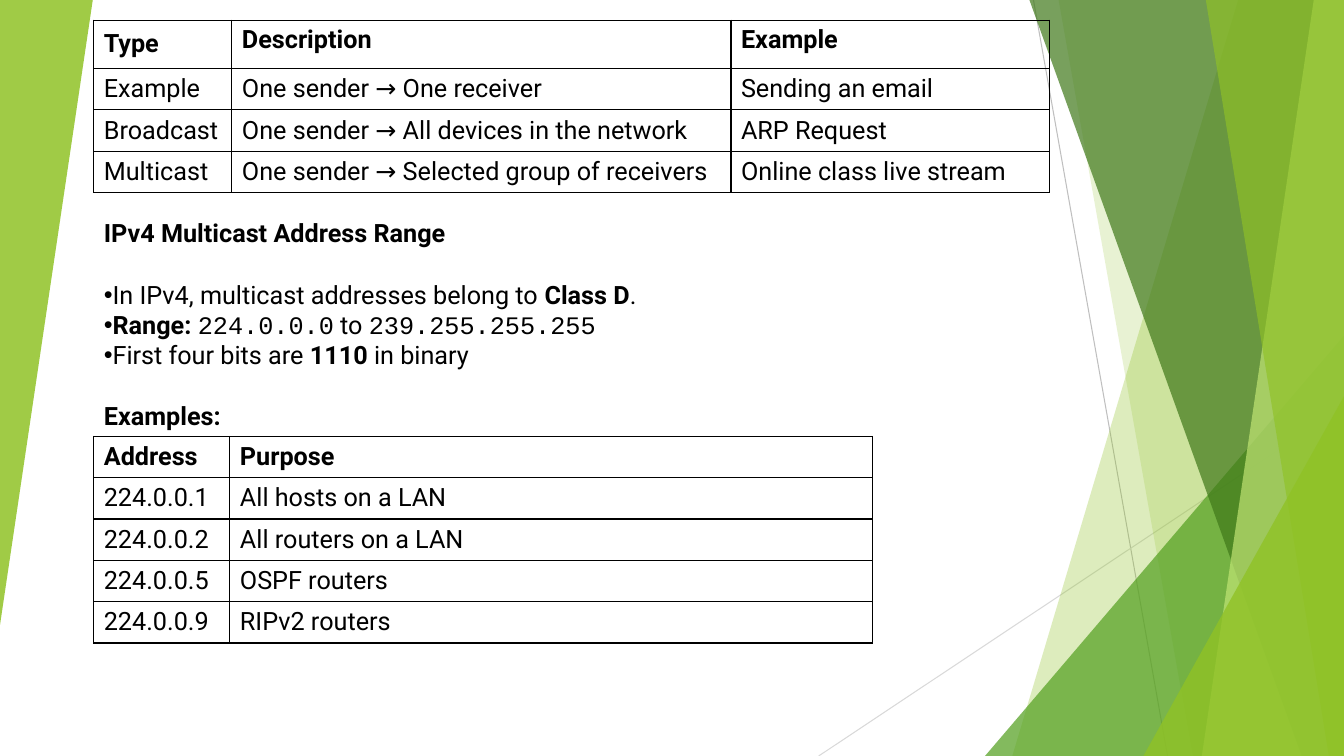
from dataclasses import dataclass

from lxml import etree
from pptx import Presentation
from pptx.dml.color import RGBColor
from pptx.enum.shapes import MSO_CONNECTOR, MSO_SHAPE
from pptx.enum.text import MSO_ANCHOR, MSO_AUTO_SIZE, PP_ALIGN
from pptx.oxml.ns import qn
from pptx.util import Inches, Pt

STRAIGHT = MSO_CONNECTOR.STRAIGHT
TRIANGLE = MSO_SHAPE.ISOSCELES_TRIANGLE
TOP, MIDDLE = MSO_ANCHOR.TOP, MSO_ANCHOR.MIDDLE
NO_AUTOFIT = MSO_AUTO_SIZE.NONE
LEFT = PP_ALIGN.LEFT

WIDTH, HEIGHT = 13.33, 7.5
CONTENT_LEFT = 0.93
TEXT_WIDTH = 9.28


@dataclass(frozen=True)
class Theme:
    """Colours, fonts and sizes of the slide."""
    text: str = "000000"
    border: str = "000000"
    lime: str = "90C226"
    green: str = "54A021"
    forest: str = "3F7819"
    pale: str = "C0E474"
    steep_line: str = "BFBFBF"
    shallow_line: str = "D9D9D9"
    font: str = "Roboto"
    code_font: str = "Courier New"
    size: float = 18
    section_gap: float = 21.6
    border_width: float = 1
    line_width: float = 0.75


THEME = Theme()
FRAME_FORMAT = {"word_wrap": True, "auto_size": NO_AUTOFIT, "vertical_anchor": TOP}
PARAGRAPH_FORMAT = {
    "alignment": LEFT, "line_spacing": 1.0, "space_before": Pt(0), "space_after": Pt(0),
}
RUN_STYLES = {
    "plain": {"name": THEME.font, "bold": False},
    "bold": {"name": THEME.font, "bold": True},
    "code": {"name": THEME.code_font, "bold": False},
}

CAST_TYPES = [
    ("Type", "Description", "Example"),
    ("Example", "One sender → One receiver", "Sending an email"),
    ("Broadcast", "One sender → All devices in the network", "ARP Request"),
    ("Multicast", "One sender → Selected group of receivers", "Online class live stream"),
]
ADDRESSES = [
    ("Address", "Purpose"),
    ("224.0.0.1", "All hosts on a LAN"),
    ("224.0.0.2", "All routers on a LAN"),
    ("224.0.0.5", "OSPF routers"),
    ("224.0.0.9", "RIPv2 routers"),
]
RANGE_FACTS = [
    [("In IPv4, multicast addresses belong to ", "plain"), ("Class D", "bold"), (".", "plain")],
    [("Range: ", "bold"), ("224.0.0.0", "code"), (" to ", "plain"),
     ("239.255.255.255", "code")],
    [("First four bits are ", "plain"), ("1110", "bold"), (" in binary", "plain")],
]


def set_values(target, values):
    """Set each named attribute on the target."""
    for name, value in values.items():
        setattr(target, name, value)


def add_runs(paragraph, runs):
    """Write styled runs into a paragraph."""
    set_values(paragraph, PARAGRAPH_FORMAT)
    for text, style in runs:
        run = paragraph.add_run()
        run.text = text
        set_values(run.font, {"size": Pt(THEME.size), **RUN_STYLES[style]})
        run.font.color.rgb = RGBColor.from_string(THEME.text)


def set_bullet(paragraph, character=None):
    """Give a paragraph a flush bullet, or none."""
    properties = paragraph._p.get_or_add_pPr()
    set_values(properties, {})
    properties.set("marL", "0")
    properties.set("indent", "0")
    bullet = etree.SubElement(properties, qn("a:buChar" if character else "a:buNone"))
    if character:
        bullet.set("char", character)


def place(shape, left, top, width, height):
    """Move and resize a shape, in inches."""
    set_values(shape, {
        "left": Inches(left), "top": Inches(top),
        "width": Inches(width), "height": Inches(height),
    })


def paint(shape, colour, opacity):
    """Fill a shape with a translucent colour and no outline."""
    shape.shadow.inherit = False
    shape.fill.solid()
    shape.fill.fore_color.rgb = RGBColor.from_string(colour)
    shape.line.fill.background()
    colour_element = shape._element.spPr.find(".//" + qn("a:srgbClr"))
    etree.SubElement(colour_element, qn("a:alpha")).set("val", str(opacity * 1000))


def add_panel(slide, top_x, bottom_x):
    """Add a full-height panel with a slanted left edge."""
    builder = slide.shapes.build_freeform(Inches(top_x), 0)
    corners = [(WIDTH, 0), (WIDTH, HEIGHT), (bottom_x, HEIGHT)]
    builder.add_line_segments([(Inches(x), Inches(y)) for x, y in corners])
    return builder.convert_to_shape()


def add_wedge(slide, left, top, width, height, rotation=0):
    """Add a right-angled triangle."""
    shape = slide.shapes.add_shape(
        TRIANGLE, Inches(left), Inches(top), Inches(width), Inches(height))
    shape.adjustments[0] = 1
    shape.rotation = rotation
    return shape


def add_line(slide, start, end, colour):
    """Add a thin straight line."""
    line = slide.shapes.add_connector(
        STRAIGHT, *[Inches(value) for value in (*start, *end)])
    line.line.color.rgb = RGBColor.from_string(colour)
    line.line.width = Pt(THEME.line_width)
    etree.SubElement(line._element.spPr, qn("a:effectLst"))


def add_backdrop(slide):
    """Draw the green facets and thin lines."""
    add_line(slide, (10.25, 0), (11.58, HEIGHT), THEME.steep_line)
    add_line(slide, (WIDTH, 4.03), (8.12, HEIGHT), THEME.shallow_line)
    facets = [
        (add_panel, (12.28, 10.04), THEME.lime, 30),
        (add_panel, (10.5, 11.83), THEME.lime, 20),
        (add_wedge, (9.77, 3.33, 3.56, 4.17), THEME.green, 72),
        (add_panel, (10.21, 12.91), THEME.forest, 70),
        (add_panel, (13.03, 11.92), THEME.pale, 70),
        (add_panel, (11.96, 13.18), THEME.lime, 65),
        (add_wedge, (11.34, 3.93, 1.99, 3.57), THEME.lime, 80),
        (add_wedge, (0, 0, 0.92, 6.2, 180), THEME.lime, 85),
    ]
    for add_facet, geometry, colour, opacity in facets:
        paint(add_facet(slide, *geometry), colour, opacity)


def set_borders(cell):
    """Draw a line on all four sides of a cell."""
    properties = cell._tc.get_or_add_tcPr()
    for index, side in enumerate(("a:lnL", "a:lnR", "a:lnT", "a:lnB")):
        line = etree.Element(qn(side), w=str(Pt(THEME.border_width)))
        fill = etree.SubElement(line, qn("a:solidFill"))
        etree.SubElement(fill, qn("a:srgbClr")).set("val", THEME.border)
        properties.insert(index, line)


def add_grid(slide, top, column_widths, row_heights, rows, top_cells=()):
    """Add a bordered table with a bold first row."""
    table = slide.shapes.add_table(
        len(rows), len(column_widths), Inches(CONTENT_LEFT), Inches(top),
        Inches(sum(column_widths)), Inches(sum(row_heights))).table
    set_values(table, {"first_row": False, "horz_banding": False})
    for column, width in zip(table.columns, column_widths):
        column.width = Inches(width)
    for row_index, (row, height) in enumerate(zip(table.rows, row_heights)):
        row.height = Inches(height)
        for column_index, cell in enumerate(row.cells):
            cell.fill.background()
            set_borders(cell)
            cell.vertical_anchor = TOP if (row_index, column_index) in top_cells else MIDDLE
            style = "plain" if row_index else "bold"
            add_runs(cell.text_frame.paragraphs[0], [(rows[row_index][column_index], style)])


def fill_text(slide):
    """Write the heading, the range facts and the examples label."""
    title, body = slide.shapes.title, slide.placeholders[1]
    place(title, CONTENT_LEFT, 2.11, TEXT_WIDTH, 0.4)
    place(body, CONTENT_LEFT, 2.72, TEXT_WIDTH, 1.61)
    for shape in (title, body):
        set_values(shape.text_frame, FRAME_FORMAT)
    add_runs(title.text_frame.paragraphs[0], [("IPv4 Multicast Address Range", "bold")])
    frame = body.text_frame
    for index, runs in enumerate(RANGE_FACTS):
        paragraph = frame.add_paragraph() if index else frame.paragraphs[0]
        set_bullet(paragraph, "•")
        add_runs(paragraph, runs)
    label = frame.add_paragraph()
    set_bullet(label)
    add_runs(label, [("Examples:", "bold")])
    label.space_before = Pt(THEME.section_gap)


def main():
    """Build and save the slide."""
    presentation = Presentation()
    set_values(presentation, {"slide_width": Inches(WIDTH), "slide_height": Inches(HEIGHT)})
    slide = presentation.slides.add_slide(presentation.slide_layouts[1])
    add_backdrop(slide)
    add_grid(slide, 0.2, (1.37, 4.95, 3.16), (0.48, 0.41, 0.41, 0.41), CAST_TYPES,
             top_cells={(0, 1), (0, 2)})
    fill_text(slide)
    add_grid(slide, 4.33, (1.35, 6.37), [0.41] * len(ADDRESSES), ADDRESSES)
    presentation.save("out.pptx")


if __name__ == "__main__":
    main()
